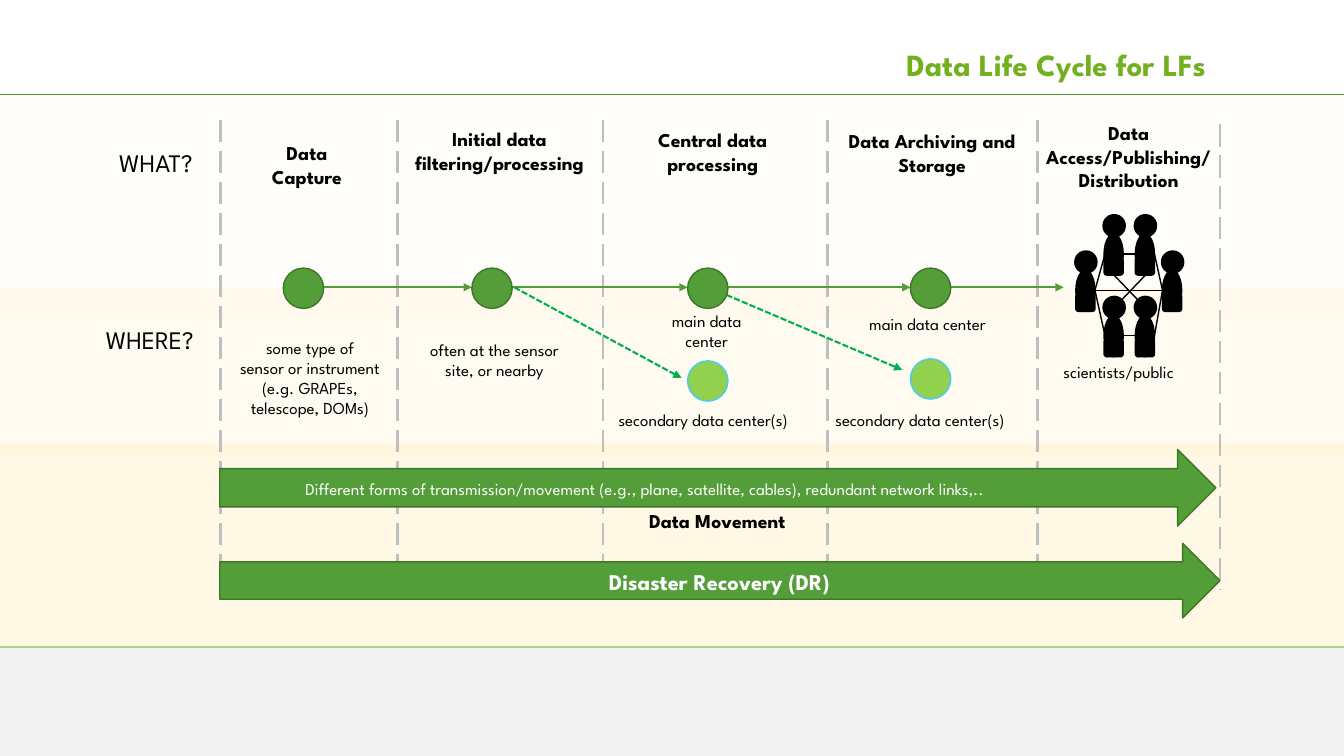
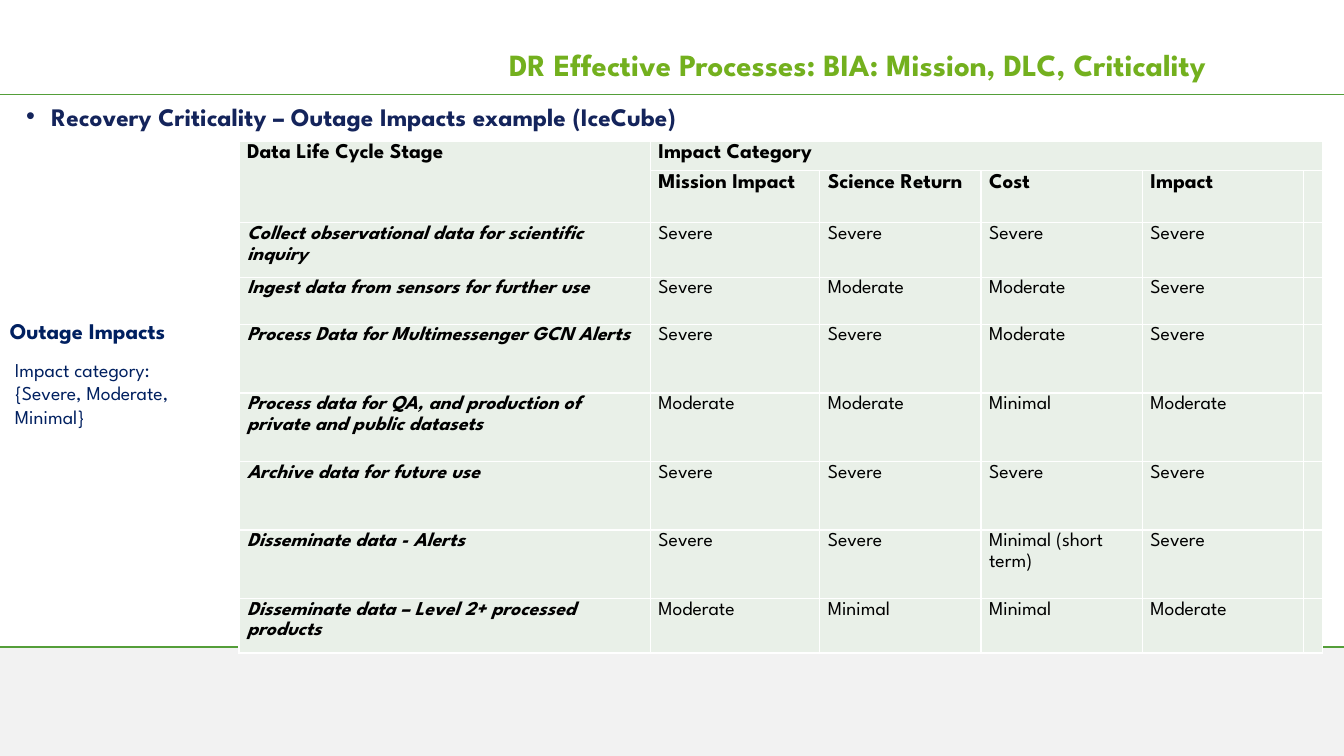
from itertools import pairwise

from lxml import etree
from pptx import Presentation
from pptx.dml.color import RGBColor
from pptx.enum.dml import MSO_LINE as Dash
from pptx.enum.shapes import MSO_CONNECTOR, MSO_SHAPE as Form
from pptx.enum.text import MSO_ANCHOR as Anchor, MSO_AUTO_SIZE as Fit, PP_ALIGN as Align
from pptx.oxml.ns import qn
from pptx.util import Inches, Pt

FONT = "League Spartan"
BLACK = RGBColor(0x00, 0x00, 0x00)
WHITE = RGBColor(0xFF, 0xFF, 0xFF)
GREEN = RGBColor(0x54, 0x9E, 0x39)
DARK = RGBColor(0x3E, 0x75, 0x2A)
LIME = RGBColor(0x92, 0xD0, 0x50)
LEAF = RGBColor(0x73, 0xB0, 0x1E)
MINT = RGBColor(0x00, 0xB0, 0x50)
SKY = RGBColor(0x46, 0xCC, 0xF6)
NAVY = RGBColor(0x14, 0x24, 0x5B)
BLUE = RGBColor(0x00, 0x20, 0x60)
CREAM = RGBColor(0xFF, 0xF4, 0xD1)
GREY = RGBColor(0xBF, 0xBF, 0xBF)
PALE = RGBColor(0xF2, 0xF2, 0xF2)
SAGE = RGBColor(0xE9, 0xF0, 0xE8)

WIDE = 13.33
TITLE_ONLY, TITLE_BODY = 5, 1


class Deck:
    """Holds the presentation, its style and the slide being drawn."""

    def __init__(self):
        self.prs = Presentation()
        self.prs.slide_width = Inches(WIDE)
        self.prs.slide_height = Inches(7.5)
        self.slide = None

    def start(self, layout, title, left):
        """Add a slide with the shared footer band, rules and title."""
        self.slide = self.prs.slides.add_slide(self.prs.slide_layouts[layout])
        self.shape(Form.RECTANGLE, 0, 6.42, WIDE, 1.08, PALE)
        for y in (6.42, 0.94):
            self.line((0, y), (WIDE, y), GREEN)
        head = self.slide.shapes.title
        self.place(head, left, 0.14, 12.06 - left, 1.05)
        head.text_frame.vertical_anchor = Anchor.MIDDLE
        para = self.put(head.text_frame.paragraphs[0], title, 22, LEAF, True, Align.RIGHT)
        para.line_spacing = 0.9

    def place(self, holder, x, y, w, h):
        holder.left, holder.top = Inches(x), Inches(y)
        holder.width, holder.height = Inches(w), Inches(h)
        holder.text_frame.auto_size = Fit.NONE

    def put(self, para, text, size, color=BLACK, bold=False, align=Align.LEFT, slant=False):
        """Add text to a paragraph, one run for each line."""
        para.alignment = align
        for i, part in enumerate(text.split("\n")):
            if i:
                para.add_line_break()
            run = para.add_run()
            run.text = part
            font = run.font
            font.name, font.size = FONT, Pt(size)
            font.bold, font.italic = bold, slant
            font.color.rgb = color
        return para

    def body(self, text, x, y, w, h):
        holder = self.slide.placeholders[1]
        self.place(holder, x, y, w, h)
        holder.text_frame.vertical_anchor = Anchor.TOP
        para = holder.text_frame.paragraphs[0]
        props = para._p.get_or_add_pPr()
        props.set("marL", str(Inches(0.25)))
        props.set("indent", str(-Inches(0.25)))
        para.space_before = Pt(0)
        self.put(para, text, 18, NAVY, True)

    def text(self, x, y, w, h, *paras, size=12, color=BLACK, bold=False,
             align=Align.LEFT, wrap=True):
        box = self.slide.shapes.add_textbox(Inches(x), Inches(y), Inches(w), Inches(h))
        frame = box.text_frame
        frame.word_wrap = wrap
        frame.auto_size = Fit.SHAPE_TO_FIT_TEXT
        for i, words in enumerate(paras):
            para = frame.add_paragraph() if i else frame.paragraphs[0]
            self.put(para, words, size, color, bold, align)

    def shape(self, form, x, y, w, h, fill, edge=None, alpha=None, host=None):
        """Draw a preset shape; alpha is its opacity in percent."""
        host = host or self.slide
        item = host.shapes.add_shape(form, Inches(x), Inches(y), Inches(w), Inches(h))
        item.shadow.inherit = False
        item.fill.solid()
        item.fill.fore_color.rgb = fill
        if alpha:
            tint = item._element.spPr.find(qn("a:solidFill")).find(qn("a:srgbClr"))
            etree.SubElement(tint, qn("a:alpha"), val=str(alpha * 1000))
        if edge is None:
            item.line.fill.background()
        else:
            item.line.color.rgb = edge
            item.line.width = Pt(1)

    def line(self, start, end, color, width=1, dash=None, arrow=False):
        link = self.slide.shapes.add_connector(
            MSO_CONNECTOR.STRAIGHT, *map(Inches, start + end))
        link.line.color.rgb = color
        link.line.width = Pt(width)
        if dash:
            link.line.dash_style = dash
        props = link._element.spPr
        if arrow:
            etree.SubElement(props.find(qn("a:ln")), qn("a:tailEnd"), type="triangle")
        etree.SubElement(props, qn("a:effectLst"))

    def person(self, x, y):
        group = self.slide.shapes.add_group_shape()
        for form, dx, dy, w, h in (
            (Form.OVAL, 0, 0, 0.22, 0.22),
            (Form.OVAL, 0.01, 0.19, 0.19, 0.41),
            (Form.ROUNDED_RECTANGLE, 0.01, 0.43, 0.19, 0.17),
        ):
            self.shape(form, x + dx, y + dy, w, h, BLACK, BLACK, host=group)

    def table(self, x, y, cols, rows):
        """Add an empty plain table and return it."""
        frame = self.slide.shapes.add_table(
            len(rows), len(cols), Inches(x), Inches(y),
            Inches(sum(cols)), Inches(sum(rows)))
        grid = frame.table
        grid.first_row = grid.horz_banding = False
        for col, w in zip(grid.columns, cols):
            col.width = Inches(w)
        for row, h in zip(grid.rows, rows):
            row.height = Inches(h)
        return grid

    def cell(self, cell, text, size, bold, slant):
        cell.margin_left, cell.margin_right = Inches(0.08), Inches(0.07)
        cell.margin_top = cell.margin_bottom = 0
        cell.fill.solid()
        cell.fill.fore_color.rgb = SAGE
        props = cell._tc.get_or_add_tcPr()
        for i, side in enumerate(("lnL", "lnR", "lnT", "lnB")):
            edge = etree.Element(qn("a:" + side), w=str(Pt(1)))
            paint = etree.SubElement(edge, qn("a:solidFill"))
            etree.SubElement(paint, qn("a:srgbClr"), val=str(WHITE))
            props.insert(i, edge)
        para = cell.text_frame.paragraphs[0]
        para.line_spacing = 1.15
        if text:
            self.put(para, text, size, bold=bold, slant=slant)
        else:
            para.font.size = Pt(size)


def cycle(deck):
    deck.start(TITLE_ONLY, "Data Life Cycle for LFs", 8.1)
    for y, h, alpha in ((4.4, 2.03, 56), (2.85, 1.68, 30), (0.95, 2.22, 10)):
        deck.shape(Form.RECTANGLE, 0, y, WIDE, h, CREAM, alpha=alpha)
    for x in (2.19, 3.94, 5.98, 8.21, 10.29):
        deck.line((x, 1.19), (x, 5.83), GREY, 2, Dash.LONG_DASH)
    deck.line((12.1, 1.23), (12.1, 5.85), GREY, 2, Dash.LONG_DASH)

    for x, y, w, words in ((0.95, 1.41, 1.06, "WHAT?"), (0.83, 3.17, 1.19, "WHERE?")):
        deck.text(x, y, w, 0.4, words, size=18, align=Align.RIGHT, wrap=False)
    for x, y, w, h, words in (
        (2.41, 1.35, 1.27, 0.57, "Data\nCapture"),
        (3.94, 1.21, 2.03, 0.57, "Initial data filtering/processing"),
        (5.99, 1.22, 2.16, 0.57, "Central data processing"),
        (8.22, 1.23, 2.05, 0.57, "Data Archiving and Storage"),
        (10.23, 1.15, 1.93, 0.81, "Data Access/Publishing/Distribution"),
        (6.1, 5, 2.03, 0.34, "Data Movement"),
    ):
        deck.text(x, y, w, h, words, size=14, bold=True, align=Align.CENTER)

    deck.text(2.21, 3.3, 1.73, 0.91,
              "some type of\nsensor or instrument (e.g. GRAPEs,\ntelescope, DOMs)",
              align=Align.CENTER)
    for x, y, w, h, words in (
        (4.02, 3.32, 1.77, 0.5, "often at the sensor\nsite, or nearby"),
        (6.48, 3.03, 1.06, 0.5, "main data\ncenter"),
        (8.52, 3.06, 1.36, 0.3, "main data center"),
        (6.03, 4.02, 1.89, 0.3, "secondary data center(s)"),
        (8.18, 4.02, 1.89, 0.3, "secondary data center(s)"),
        (10.44, 3.54, 1.31, 0.3, "scientists/public"),
    ):
        deck.text(x, y, w, h, words, align=Align.CENTER, wrap=False)

    dot, mid = 0.4, 2.85
    stops = (2.81, 4.68, 6.82, 9.03)
    for left, right in pairwise(stops + (10.55,)):
        deck.line((left + dot, mid), (right, mid), GREEN, 1.5, arrow=True)
    for start, end in (((5.1, mid), (6.76, 3.75)), ((7.05, 2.86), (8.95, 3.67))):
        deck.line(start, end, MINT, 1.5, Dash.SQUARE_DOT, True)
    for x in stops:
        deck.shape(Form.OVAL, x, 2.66, dot, dot, GREEN, DARK)
    for x, y in ((6.82, 3.58), (9.03, 3.56)):
        deck.shape(Form.OVAL, x, y, dot, dot, LIME, SKY)

    for y, xs in ((2.13, (10.94, 11.25)), (2.49, (10.66, 11.52)), (2.94, (10.94, 11.25))):
        for x in xs:
            deck.person(x, y)
    west, east = (10.86, 2.88), (11.53, 2.88)
    for start, end in (
        ((11.15, 2.52), (11.26, 2.52)),
        ((11.45, 2.52), east),
        ((11.45, 3.33), east),
        (west, (10.96, 2.52)),
        ((10.96, 3.33), west),
        ((11.15, 3.33), (11.26, 3.33)),
        ((11.28, 2.97), (11.05, 2.73)),
        ((11.13, 2.97), (11.36, 2.73)),
        (west, east),
    ):
        deck.line(start, end, BLACK)

    for y, w, h in ((4.46, 9.88, 0.76), (5.39, 9.92, 0.74)):
        deck.shape(Form.RIGHT_ARROW, 2.18, y, w, h, GREEN, DARK)
    deck.text(2.93, 4.7, 8.17, 0.3,
              "Different forms of transmission/movement (e.g., plane, satellite, cables), "
              "redundant network links,..", color=WHITE)
    deck.text(5.56, 5.59, 3.15, 0.37, "Disaster Recovery (DR)",
              size=16, color=WHITE, bold=True, align=Align.CENTER)


STAGES = (
    ("Data Life Cycle Stage", "Impact Category", "", "", "", ""),
    ("", "Mission Impact", "Science Return", "Cost", "Impact", ""),
    ("Collect observational data for scientific inquiry",
     "Severe", "Severe", "Severe", "Severe", ""),
    ("Ingest data from sensors for further use",
     "Severe", "Moderate", "Moderate", "Severe", ""),
    ("Process Data for Multimessenger GCN Alerts",
     "Severe", "Severe", "Moderate", "Severe", ""),
    ("Process data for QA, and production of private and public datasets",
     "Moderate", "Moderate", "Minimal", "Moderate", ""),
    ("Archive data for future use",
     "Severe", "Severe", "Severe", "Severe", ""),
    ("Disseminate data - Alerts",
     "Severe", "Severe", "Minimal (short term)", "Severe", ""),
    ("Disseminate data – Level 2+ processed products",
     "Moderate", "Minimal", "Minimal", "Moderate", ""),
)


def impacts(deck):
    deck.start(TITLE_BODY, "DR Effective Processes: BIA: Mission, DLC, Criticality", 3.21)
    deck.body("Recovery Criticality – Outage Impacts example (IceCube)",
              0.16, 0.95, 12.26, 0.46)
    deck.text(0.05, 3.5, 2.32, 0.81, "Impact category:", "{Severe, Moderate, Minimal}",
              size=14, color=BLUE)
    deck.text(0, 3.1, 1.98, 0.37, "Outage Impacts",
              size=16, color=BLUE, bold=True, wrap=False)
    grid = deck.table(2.37, 1.4, (4.08, 1.68, 1.6, 1.6, 1.6, 0.17),
                      (0.29, 0.52, 0.54, 0.47, 0.68, 0.68, 0.68, 0.68, 0.54))
    for r, row in enumerate(STAGES):
        head = r < 2
        for c, words in enumerate(row):
            deck.cell(grid.cell(r, c), words, 15 if head else 14,
                      head or c == 0, not head and c == 0)
    grid.cell(0, 0).merge(grid.cell(1, 0))
    grid.cell(0, 1).merge(grid.cell(0, 5))


def main():
    deck = Deck()
    cycle(deck)
    impacts(deck)
    deck.prs.save("out.pptx")


if __name__ == "__main__":
    main()
